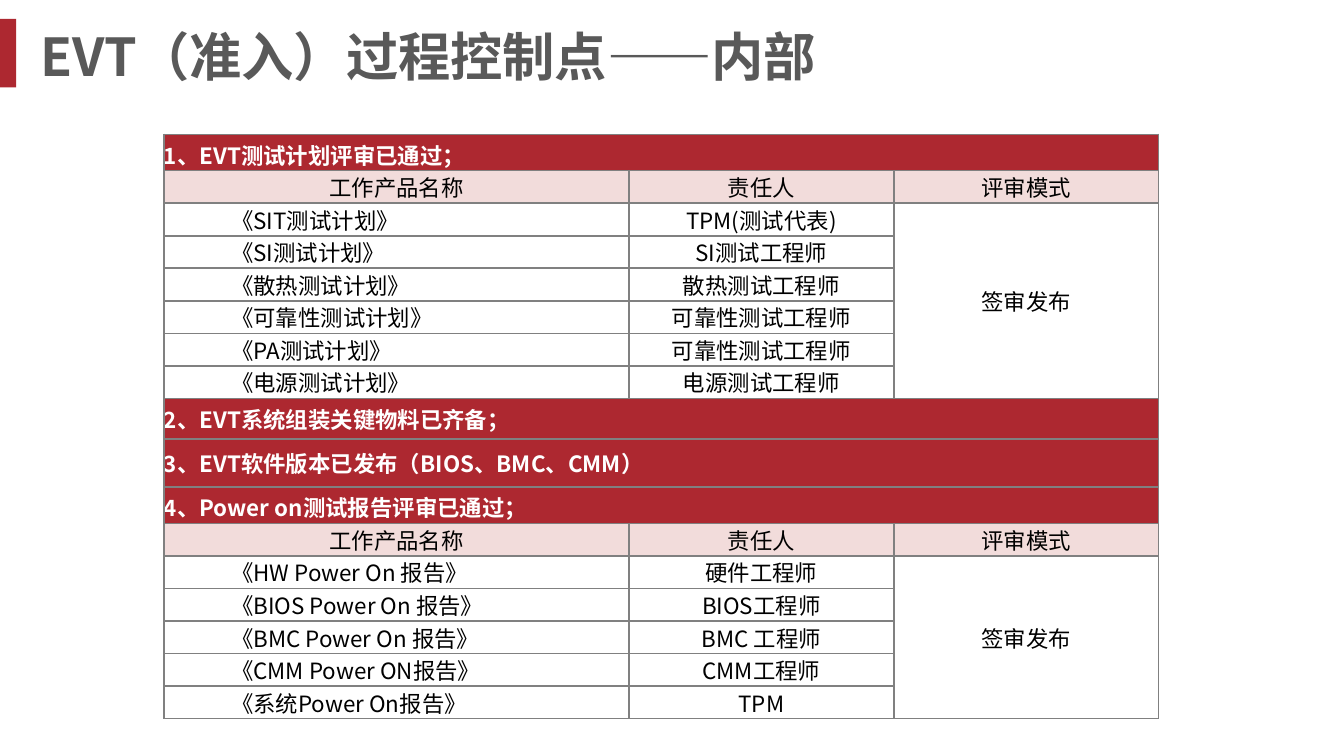
from lxml import etree
from pptx import Presentation
from pptx.dml.color import RGBColor
from pptx.enum.shapes import MSO_SHAPE
from pptx.enum.text import MSO_ANCHOR, PP_ALIGN
from pptx.oxml.ns import qn
from pptx.util import Inches, Pt

RED = RGBColor(0xAD, 0x28, 0x30)
PINK = RGBColor(0xF2, 0xDC, 0xDB)
GREY = RGBColor(0x59, 0x59, 0x59)
BORDER = RGBColor(0x80, 0x80, 0x80)
WHITE = RGBColor(0xFF, 0xFF, 0xFF)
BLACK = RGBColor(0, 0, 0)
LEFT, CENTER = PP_ALIGN.LEFT, PP_ALIGN.CENTER
MIDDLE, BOTTOM = MSO_ANCHOR.MIDDLE, MSO_ANCHOR.BOTTOM
RECTANGLE = MSO_SHAPE.RECTANGLE
FONT = "Noto Sans CJK SC"
TITLE_ONLY = 5

SLIDE_WIDTH = 10
SLIDE_HEIGHT = SLIDE_WIDTH * 9 / 16
COLUMN_WIDTHS = [3.46, 1.97, 1.97]
ROW_HEIGHT = 0.23
HEADINGS = ["工作产品名称", "责任人", "评审模式"]
REVIEW_MODE = "签审发布"

# Each section: title, height, anchor, (work product, owner) pairs
SECTIONS = [
    ("1、EVT测试计划评审已通过；", 0.27, BOTTOM, [
        ("《SIT测试计划》", "TPM(测试代表)"),
        ("《SI测试计划》", "SI测试工程师"),
        ("《散热测试计划》", "散热测试工程师"),
        ("《可靠性测试计划》", "可靠性测试工程师"),
        ("《PA测试计划》", "可靠性测试工程师"),
        ("《电源测试计划》", "电源测试工程师"),
    ]),
    ("2、EVT系统组装关键物料已齐备；", 0.3, MIDDLE, []),
    ("3、EVT软件版本已发布（BIOS、BMC、CMM）", 0.36, MIDDLE, []),
    ("4、Power on测试报告评审已通过；", 0.27, BOTTOM, [
        ("《HW Power On 报告》", "硬件工程师"),
        ("《BIOS Power On 报告》", "BIOS工程师"),
        ("《BMC Power On 报告》", "BMC 工程师"),
        ("《CMM Power ON报告》", "CMM工程师"),
        ("《系统Power On报告》", "TPM"),
    ]),
]


def write_text(frame, text, size=12, color=BLACK, bold=False, align=CENTER,
               indent=0):
    paragraph = frame.paragraphs[0]
    paragraph.alignment = align
    if indent:
        paragraph.level = 1
        properties = paragraph._p.get_or_add_pPr()
        properties.set("marL", str(Inches(indent)))
        properties.set("indent", "0")
    run = paragraph.add_run()
    run.text = text
    run.font.size = Pt(size)
    run.font.bold = bold
    run.font.color.rgb = color
    run.font.name = FONT
    east_asian = etree.SubElement(run._r.get_or_add_rPr(), qn("a:ea"))
    east_asian.set("typeface", FONT)


def add_borders(cell):
    properties = cell._tc.get_or_add_tcPr()
    for side in ("a:lnL", "a:lnR", "a:lnT", "a:lnB"):
        line = etree.SubElement(properties, qn(side), w=str(Pt(1)))
        fill = etree.SubElement(line, qn("a:solidFill"))
        etree.SubElement(fill, qn("a:srgbClr"), val=str(BORDER))


class SlideBuilder:
    def __init__(self, presentation):
        layout = presentation.slide_layouts[TITLE_ONLY]
        self.slide = presentation.slides.add_slide(layout)

    def bar(self, left, top, width, height):
        shape = self.slide.shapes.add_shape(
            RECTANGLE, Inches(left), Inches(top), Inches(width), Inches(height))
        shape.shadow.inherit = False
        shape.fill.solid()
        shape.fill.fore_color.rgb = RED
        shape.line.fill.background()

    def title(self, text, left, top, width, height):
        title = self.slide.shapes.title
        title.left, title.top = Inches(left), Inches(top)
        title.width, title.height = Inches(width), Inches(height)
        title.text_frame.vertical_anchor = MIDDLE
        write_text(title.text_frame, text, size=28, color=GREY, bold=True,
                   align=LEFT)

    def cell(self, cell, text, fill=None, anchor=MIDDLE, **text_format):
        cell.margin_left = cell.margin_right = 0
        cell.margin_top = cell.margin_bottom = 0
        cell.vertical_anchor = anchor
        if fill is None:
            cell.fill.background()
        else:
            cell.fill.solid()
            cell.fill.fore_color.rgb = fill
        write_text(cell.text_frame, text, **text_format)

    def table(self, left, top):
        heights = []
        for _, height, _, products in SECTIONS:
            heights.append(height)
            if products:
                heights += [ROW_HEIGHT] * (len(products) + 1)
        table = self.slide.shapes.add_table(
            len(heights), len(COLUMN_WIDTHS), Inches(left), Inches(top),
            Inches(sum(COLUMN_WIDTHS)), Inches(sum(heights))).table
        table.first_row = table.horz_banding = False
        for column, width in zip(table.columns, COLUMN_WIDTHS):
            column.width = Inches(width)
        for row, height in zip(table.rows, heights):
            row.height = Inches(height)
        for cell in table.iter_cells():
            add_borders(cell)
        row = 0
        for section, _, anchor, products in SECTIONS:
            self.section(table, row, section, anchor, products)
            row += len(products) + 2 if products else 1

    def section(self, table, row, title, anchor, products):
        """Fill a title row and, if there are products, the rows below it."""
        table.cell(row, 0).merge(table.cell(row, 2))
        self.cell(table.cell(row, 0), title, fill=RED, color=WHITE, bold=True,
                  align=LEFT, anchor=anchor)
        if not products:
            return
        for column, heading in enumerate(HEADINGS):
            self.cell(table.cell(row + 1, column), heading, fill=PINK,
                      anchor=BOTTOM)
        first = row + 2
        for index, (product, owner) in enumerate(products, first):
            self.cell(table.cell(index, 0), product, align=LEFT, indent=0.5)
            self.cell(table.cell(index, 1), owner)
        table.cell(first, 2).merge(table.cell(first + len(products) - 1, 2))
        self.cell(table.cell(first, 2), REVIEW_MODE)


def main():
    presentation = Presentation()
    presentation.slide_width = Inches(SLIDE_WIDTH)
    presentation.slide_height = Inches(SLIDE_HEIGHT)
    builder = SlideBuilder(presentation)
    builder.bar(0, 0.14, 0.12, 0.51)
    builder.title("EVT（准入）过程控制点——内部", 0.2, 0.14, 8.11, 0.55)
    builder.table(1.22, 1)
    presentation.save("out.pptx")


if __name__ == "__main__":
    main()
